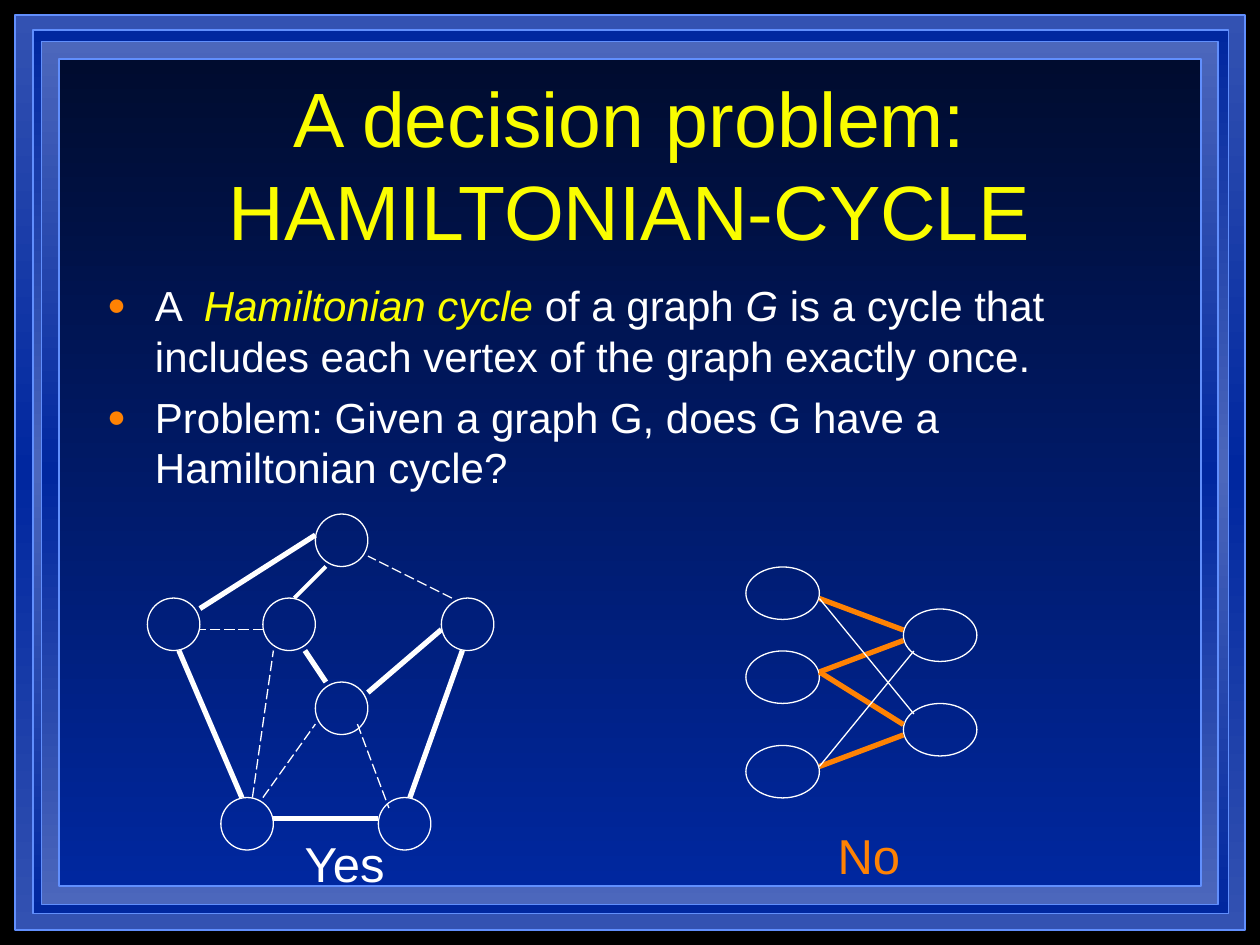
import copy

import pptx
import pptx.dml.color
import pptx.enum.dml
import pptx.enum.shapes
import pptx.enum.text
import pptx.oxml
import pptx.oxml.ns
import pptx.util

Inches, Pt = pptx.util.Inches, pptx.util.Pt
ALIGN = pptx.enum.text.PP_ALIGN
ANCHOR = pptx.enum.text.MSO_ANCHOR
FIT = pptx.enum.text.MSO_AUTO_SIZE
SHAPE = pptx.enum.shapes.MSO_SHAPE
DASH = pptx.enum.dml.MSO_LINE.LONG_DASH

COLORS = {
    "black": "000000", "white": "FFFFFF", "yellow": "FAFD00", "orange": "FF8203",
    "night": "000C2F", "navy": "00279F", "blue": "3352B2", "steel": "4C67BC",
    "edge": "618FFD",
}
FRAMES = [
    ((0.12, 0.12, 9.76, 7.26), ("blue", "navy", "blue")),
    ((0.26, 0.24, 9.49, 7.01), ("navy", "steel", "navy")),
    ((0.33, 0.33, 9.34, 6.85), ("steel", "navy", "steel")),
    ((0.47, 0.47, 9.06, 6.56), ("night", "navy")),
]
GRID = 1 / 12
STYLES = {
    "path": ("white", 3, None),
    "short": ("white", 2.25, None),
    "unused": ("white", 0.75, DASH),
    "thin": ("white", 0.75, None),
    "orange": ("orange", 3, None),
}
YES_NODES = [(0, 8), (7, 27), (22, 27), (28, 8), (16, 0), (16, 16), (11, 8)]
YES_EDGES = {
    "path": [(16, 2, 5, 9), (3, 13, 9, 27), (12, 29, 22, 29),
             (25, 27, 30, 13), (28, 11, 21, 17), (15, 13, 17, 16)],
    "short": [(14, 8, 17, 5)],
    "unused": [(29, 8, 21, 4), (11, 11, 5, 11), (20, 20, 23, 28),
               (10, 27, 12, 13), (11, 27, 16, 20)],
}
NO_NODES = [(0, 0), (0, 8), (0, 17), (15, 4), (15, 13)]
NO_EDGES = {
    "orange": [(7, 3, 15, 6), (7, 10, 15, 7), (7, 10, 15, 15), (7, 19, 15, 16)],
    "thin": [(7, 3, 16, 14), (7, 19, 16, 8)],
}


def rgb(name):
    """Return the named colour."""
    return pptx.dml.color.RGBColor.from_string(COLORS[name])


def apply(target, values):
    """Set every attribute in values on the target."""
    for name, value in values.items():
        setattr(target, name, value)


def place(shape, box):
    """Move and size a shape to a box in inches."""
    apply(shape, dict(zip(("left", "top", "width", "height"), map(Inches, box))))


def add_span(para, text, size, color, italic=False):
    """Add one formatted run to a paragraph."""
    span = para.add_run()
    span.text = text
    apply(span.font, {"name": "Arial", "size": Pt(size), "italic": italic, "bold": False})
    span.font.color.rgb = rgb(color)


def add_frame(page, box, names):
    """Draw one panel with an even vertical gradient."""
    panel = page.shapes.add_shape(SHAPE.RECTANGLE, *map(Inches, box))
    panel.shadow.inherit = False
    panel.line.color.rgb = rgb("edge")
    panel.line.width = Pt(1)
    panel.fill.gradient()
    panel.fill.gradient_angle = 270
    stop_list = panel._element.spPr.xpath(".//a:gsLst")[0]
    for _ in names[2:]:
        stop_list.append(copy.deepcopy(stop_list[-1]))
    for index, (stop, name) in enumerate(zip(panel.fill.gradient_stops, names)):
        stop.position = index / (len(names) - 1)
        stop.color.rgb = rgb(name)


def fill_title(page, box):
    """Place the title in front of the panels."""
    title = page.shapes.title
    page.shapes._spTree.append(title._element)
    place(title, box)
    apply(title.text_frame, {"vertical_anchor": ANCHOR.MIDDLE, "auto_size": FIT.NONE,
                             "word_wrap": True})
    para = title.text_frame.paragraphs[0]
    para.alignment = ALIGN.CENTER
    add_span(para, "A decision problem: HAMILTONIAN-CYCLE", 44, "yellow")


def add_bullet(para):
    """Give a paragraph a hanging round bullet."""
    props = para._p.get_or_add_pPr()
    props.set("marL", str(Inches(0.38)))
    props.set("indent", str(Inches(-0.38)))
    namespace = pptx.oxml.ns.nsdecls("a")
    for markup in (
        f'<a:buClr {namespace}><a:srgbClr val="{COLORS["orange"]}"/></a:buClr>',
        f'<a:buSzPct {namespace} val="75000"/>',
        f'<a:buFont {namespace} typeface="Arial"/>',
        f'<a:buChar {namespace} char="●"/>',
    ):
        props.append(pptx.oxml.parse_xml(markup))


def fill_body(page, box):
    """Place the definition and the problem as a list."""
    body = page.placeholders[1]
    page.shapes._spTree.append(body._element)
    place(body, box)
    apply(body.text_frame, {"auto_size": FIT.NONE, "word_wrap": True})
    items = [
        [("A  ", "white", False), ("Hamiltonian cycle", "yellow", True),
         (" of a graph ", "white", False), ("G", "white", True),
         (" is a cycle that includes each vertex of the graph exactly once.",
          "white", False)],
        [("Problem: Given a graph G, does G have a Hamiltonian cycle?", "white", False)],
    ]
    for index, item in enumerate(items):
        frame = body.text_frame
        para = frame.add_paragraph() if index else frame.paragraphs[0]
        para.space_before = Pt(6)
        add_bullet(para)
        for text, color, italic in item:
            add_span(para, text, 24, color, italic)


def add_edge(page, points, style):
    """Draw one graph edge between two points in inches."""
    color, width, dash = STYLES[style]
    edge = page.shapes.add_connector(
        pptx.enum.shapes.MSO_CONNECTOR.STRAIGHT, *map(Inches, points))
    edge.line.color.rgb = rgb(color)
    apply(edge.line, {"width": Pt(width), "dash_style": dash})
    edge._element.spPr.append(
        pptx.oxml.parse_xml(f'<a:effectLst {pptx.oxml.ns.nsdecls("a")}/>'))


def add_graph(page, corner, node_size, nodes, edges):
    """Draw a graph whose parts lie on a grid from the given corner."""
    left, top = corner
    for x, y in nodes:
        box = (left + x * GRID, top + y * GRID, node_size[0] * GRID, node_size[1] * GRID)
        node = page.shapes.add_shape(SHAPE.OVAL, *map(Inches, box))
        node.shadow.inherit = False
        node.fill.background()
        node.line.color.rgb = rgb("white")
        node.line.width = Pt(0.75)
    for style, lines in edges.items():
        for x1, y1, x2, y2 in lines:
            add_edge(page, (left + x1 * GRID, top + y1 * GRID,
                            left + x2 * GRID, top + y2 * GRID), style)


def add_answer(page, box, text, color):
    """Write the answer on one line below a graph."""
    answer = page.shapes.add_textbox(*map(Inches, box))
    apply(answer.text_frame, {"word_wrap": False, "auto_size": FIT.NONE})
    para = answer.text_frame.paragraphs[0]
    para.alignment = ALIGN.LEFT
    add_span(para, text, 28, color)


def build_slide(deck):
    """Build the decision problem slide."""
    page = deck.slides.add_slide(deck.slide_layouts[1])
    page.background.fill.solid()
    page.background.fill.fore_color.rgb = rgb("black")
    for box, names in FRAMES:
        add_frame(page, box, names)
    fill_title(page, (0.75, 0.67, 8.5, 1.25))
    fill_body(page, (0.75, 2.17, 8.5, 2.17))
    add_graph(page, (1.17, 4.08), (5, 5), YES_NODES, YES_EDGES)
    add_graph(page, (5.92, 4.5), (7, 5), NO_NODES, NO_EDGES)
    add_answer(page, (2.32, 6.57, 0.87, 0.57), "Yes", "white")
    add_answer(page, (6.55, 6.5, 0.73, 0.57), "No", "orange")


def main():
    """Create and save the deck."""
    deck = pptx.Presentation()
    apply(deck, {"slide_width": Inches(10), "slide_height": Inches(7.5)})
    build_slide(deck)
    deck.save("out.pptx")


if __name__ == "__main__":
    main()
